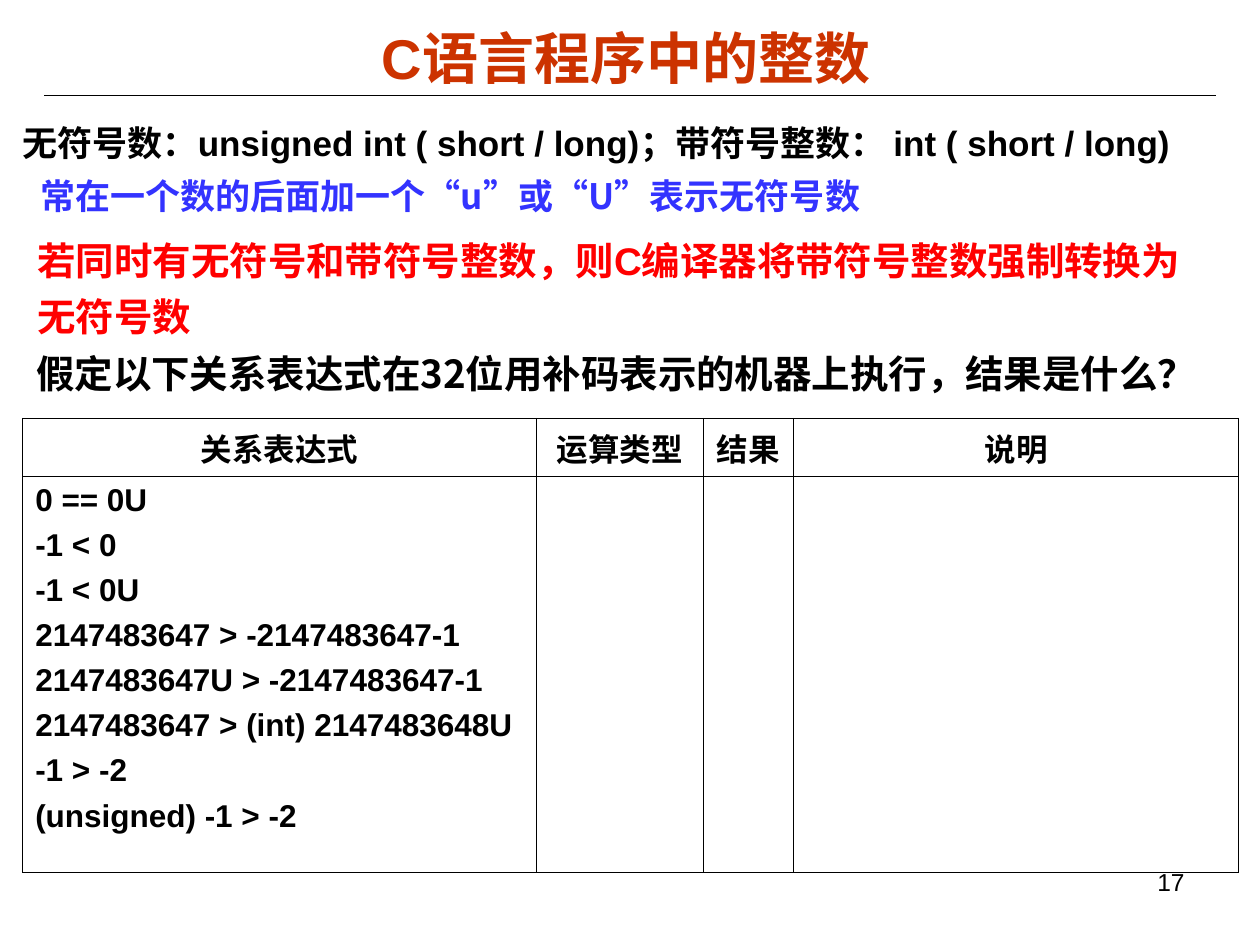
from lxml import etree
from pptx import Presentation
from pptx.dml.color import RGBColor
from pptx.enum.shapes import MSO_CONNECTOR
from pptx.enum.text import MSO_ANCHOR, MSO_AUTO_SIZE, PP_ALIGN
from pptx.oxml.ns import qn
from pptx.util import Inches, Pt

STRAIGHT = MSO_CONNECTOR.STRAIGHT
MIDDLE = MSO_ANCHOR.MIDDLE
NO_FIT = MSO_AUTO_SIZE.NONE
LEFT, CENTER, RIGHT = PP_ALIGN.LEFT, PP_ALIGN.CENTER, PP_ALIGN.RIGHT

COLS, ROWS = 100, 75
UNIT = Inches(0.1)
LATIN, CJK = "Arial", "Noto Sans CJK SC"
COLORS = {"title": "CC3300", "ink": "000000", "note": "3333FF", "warning": "FF0000"}

SUFFIX_RULE = ["常在一个数的后面加一个", "“", "u", "”", "或", "“", "U", "”", "表示无符号数"]
HEADERS = ["关系表达式", "运算类型", "结果", "说明"]
EXPRESSIONS = [
    "0 == 0U",
    "-1 < 0",
    "-1 < 0U",
    "2147483647 > -2147483647-1",
    "2147483647U > -2147483647-1",
    "2147483647 > (int) 2147483648U",
    "-1 > -2",
    "(unsigned) -1 > -2",
]


def grid(*lengths):
    """Turn grid columns and rows into slide lengths."""
    return [int(UNIT * n) for n in lengths]


def style(p, size, color="ink", font=LATIN, bold=True, align=LEFT):
    """Set the font, colour and alignment of a whole paragraph."""
    p.alignment = align
    p.font.size = Pt(size)
    p.font.bold = bold
    p.font.name = font
    p.font.color.rgb = RGBColor.from_string(COLORS[color])
    defaults = p._p.pPr.find(qn("a:defRPr"))
    etree.SubElement(defaults, qn("a:ea"), typeface=CJK)


def add_title(slide, box, text):
    """Place the title and the rule below it."""
    title = slide.shapes.title
    title.left, title.top, title.width, title.height = grid(*box)
    tf = title.text_frame
    tf.text = text
    tf.auto_size = NO_FIT
    tf.vertical_anchor = MIDDLE
    style(tf.paragraphs[0], 32, "title", align=CENTER)
    y = box[1] + box[3] + 0.1
    rule = slide.shapes.add_connector(STRAIGHT, *grid(3.5, y, COLS - 3.5, y))
    rule.line.width = Pt(0.75)
    rule.line.color.rgb = RGBColor.from_string(COLORS["ink"])
    etree.SubElement(rule._element.spPr, qn("a:effectLst"))


def add_text(slide, box, runs, size, spacing=None, wrap=True, **look):
    """Add a one-paragraph text box, with fonts alternating between runs."""
    tf = slide.shapes.add_textbox(*grid(*box)).text_frame
    tf.word_wrap = wrap
    p = tf.paragraphs[0]
    for i, text in enumerate(runs):
        r = p.add_run()
        r.text = text
        if len(runs) > 1:
            r.font.name = (CJK, LATIN)[i % 2]
    if spacing:
        p.line_spacing = spacing
    style(p, size, **look)


def format_cell(cell):
    """Clear the fill of a cell and draw its four borders."""
    cell.fill.background()
    tcPr = cell._tc.get_or_add_tcPr()
    for i, side in enumerate(("lnL", "lnR", "lnT", "lnB")):
        line = etree.Element(qn(f"a:{side}"), w=str(Pt(0.45)))
        fill = etree.SubElement(line, qn("a:solidFill"))
        etree.SubElement(fill, qn("a:srgbClr"), val=COLORS["ink"])
        tcPr.insert(i, line)


def add_expression_table(slide, box, widths, heights):
    """Add the table of relational expressions with columns left to fill in."""
    table = slide.shapes.add_table(len(heights), len(widths), *grid(*box)).table
    table.first_row = table.horz_banding = False
    for column, width in zip(table.columns, grid(*widths)):
        column.width = width
    for row, height in zip(table.rows, grid(*heights)):
        row.height = height
    for cell in table.iter_cells():
        format_cell(cell)
    for i, header in enumerate(HEADERS):
        p = table.cell(0, i).text_frame.paragraphs[0]
        p.text = header
        style(p, 18, align=CENTER)
    tf = table.cell(1, 0).text_frame
    tf.text = "\n".join(EXPRESSIONS)
    for i, p in enumerate(tf.paragraphs):
        if i:
            p.space_before = Pt(5.6)
        style(p, 18)


def main():
    """Build the slide and save it."""
    prs = Presentation()
    prs.slide_width, prs.slide_height = grid(COLS, ROWS)
    slide = prs.slides.add_slide(prs.slide_layouts[5])
    add_title(slide, (4.7, 1.5, 90, 6), "C语言程序中的整数")
    add_expression_table(slide, (1.8, 33.2, 96.5, 35.4),
                         (40.8, 13.2, 7.2, 35.3), (4, 31.4))
    add_text(slide, (0.8, 8.5, 95.8, 5),
             ["无符号数：unsigned int ( short / long)；带符号整数： int ( short / long)"],
             20, 1.2, wrap=False)
    add_text(slide, (2.2, 12.7, 74.3, 5), SUFFIX_RULE, 20, 1.2, color="note", font=CJK)
    add_text(slide, (2, 17.6, 95.6, 9.8),
             ["若同时有无符号和带符号整数，则C编译器将带符号整数强制转换为无符号数"],
             22, 1.2, color="warning")
    add_text(slide, (1.9, 27.3, 96.7, 4.7),
             ["假定以下关系表达式在32位用补码表示的机器上执行，结果是什么？"], 22, font=CJK)
    add_text(slide, (71.7, 68.3, 23.3, 5.2), ["17"], 14, bold=False, align=RIGHT)
    prs.save("out.pptx")


if __name__ == "__main__":
    main()
